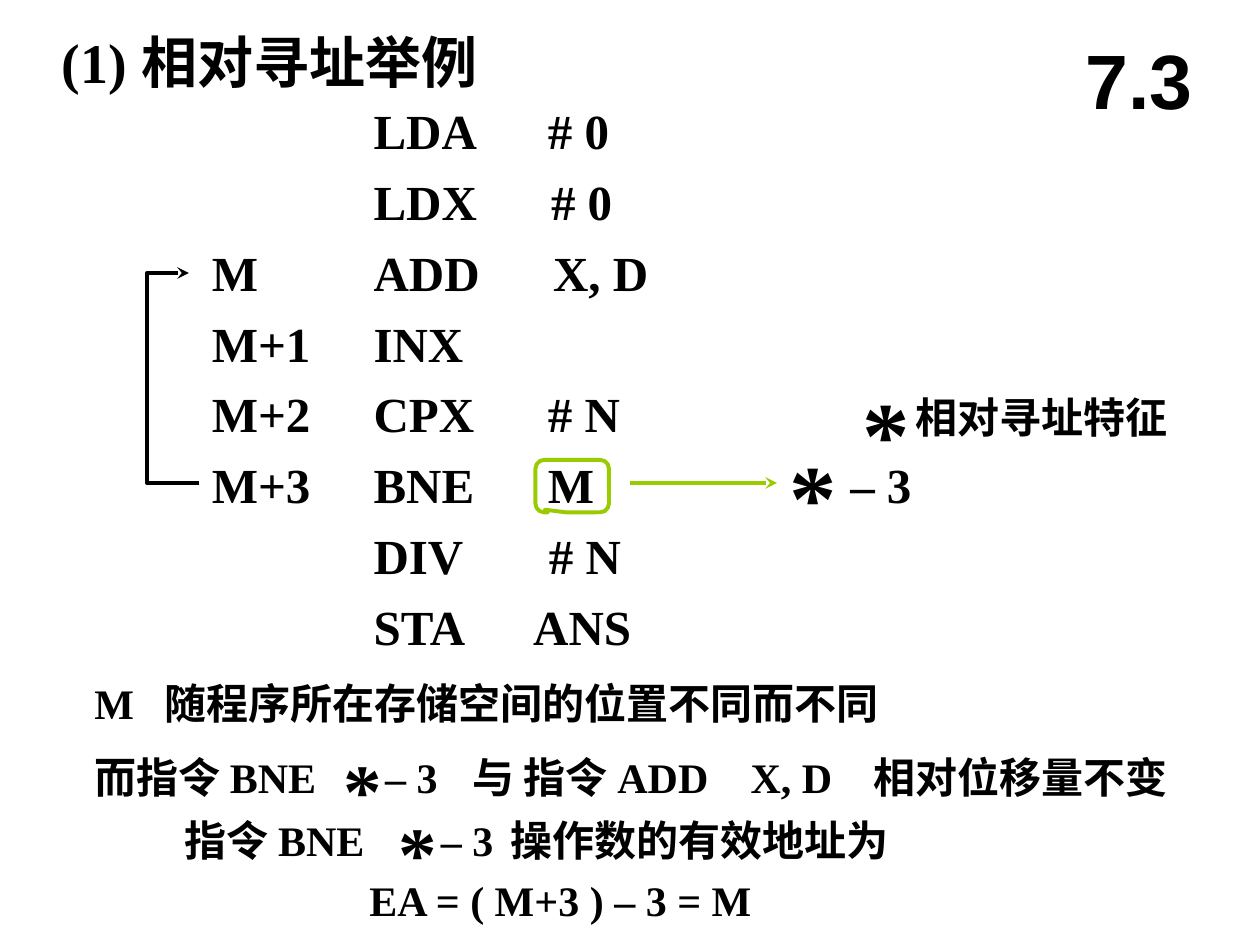
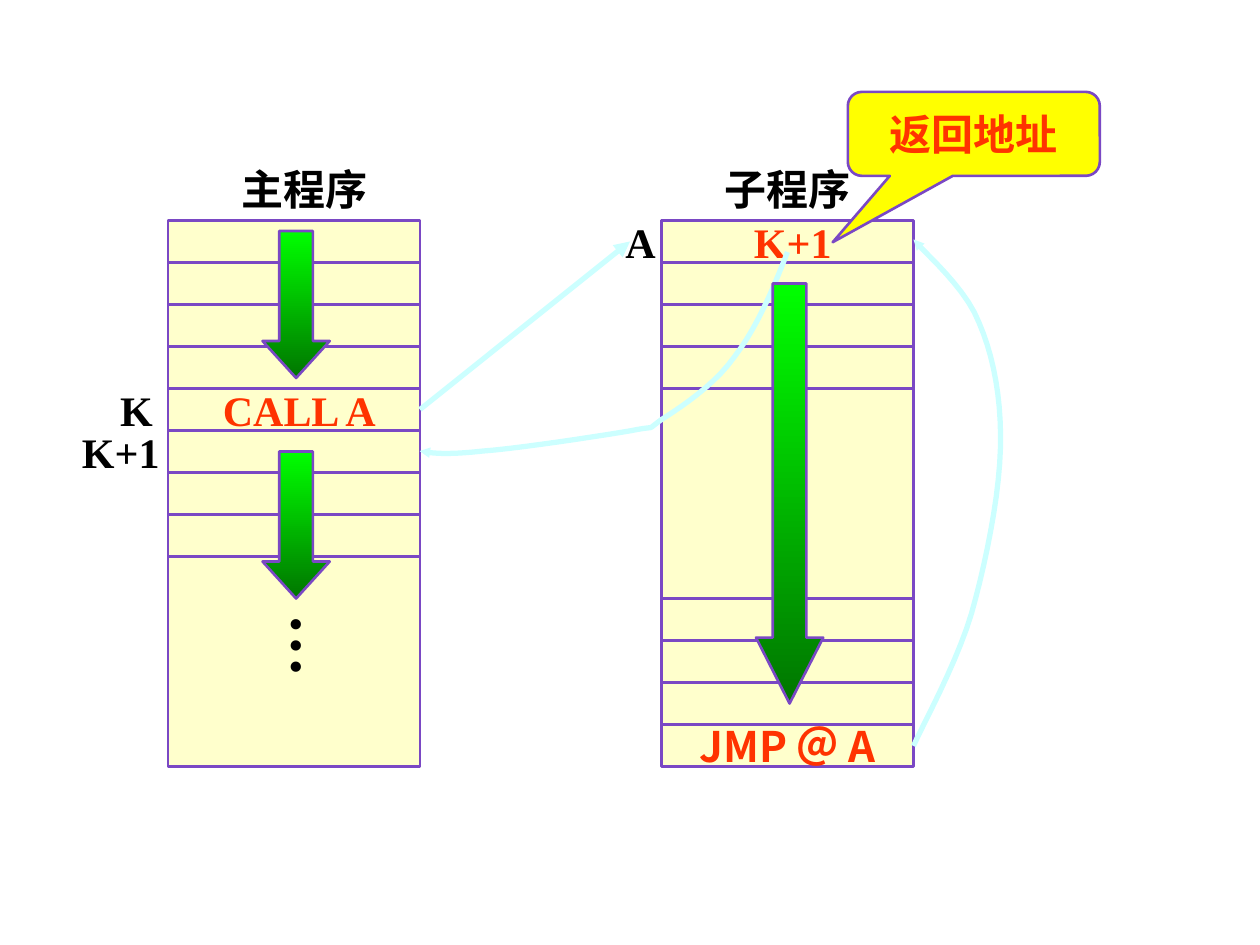
from lxml.etree import SubElement
from pptx import Presentation
from pptx.dml.color import RGBColor
from pptx.enum.shapes import MSO_CONNECTOR as Connector, MSO_SHAPE as Shape
from pptx.enum.text import MSO_ANCHOR as Anchor, PP_ALIGN as Align
from pptx.oxml.ns import qn
from pptx.util import Inches, Pt

# Shared grid: 120 columns by 90 rows of square cells
presentation = Presentation()
presentation.slide_width, presentation.slide_height = Inches(10), Inches(7.5)
CELL = presentation.slide_width / 120

# Shared colours and fonts
hex_color = RGBColor.from_string
BLACK, GREEN, PURPLE, RED = "000000", "99CC00", "7A48C4", "FF3300"
CREAM, YELLOW, PALE_BLUE = "FFFFCC", "FFFF00", "CCFFFF"
SERIF, SANS, CHINESE = "Times New Roman", "Arial", "Noto Sans CJK SC"


def write(shape, text, size=24, font=SERIF, color=BLACK, align=Align.LEFT,
          anchor=Anchor.TOP, tabs=()):
    """Put one bold line of text in a shape; tab stops are in cells."""
    frame = shape.text_frame
    frame.word_wrap = True
    frame.vertical_anchor = anchor
    frame.margin_left = frame.margin_right = Inches(0.1)
    frame.margin_top = frame.margin_bottom = Inches(0.05)
    paragraph = frame.paragraphs[0]
    paragraph.alignment = align
    if tabs:
        tab_list = SubElement(paragraph._p.get_or_add_pPr(), qn("a:tabLst"))
        for tab in tabs:
            SubElement(tab_list, qn("a:tab"), pos=str(int(tab * CELL)), algn="l")
    run = paragraph.add_run()
    run.text = text
    run.font.size, run.font.bold, run.font.name = Pt(size), True, font
    run.font.color.rgb = hex_color(color)
    SubElement(run._r.get_or_add_rPr(), qn("a:ea"), typeface=CHINESE)


def paint(shape, line, width=1.5, fill=None, arrow=None, arrow_size="med"):
    """Set the outline, fill and arrowhead, and remove the shadow."""
    shape.line.color.rgb = hex_color(line)
    shape.line.width = Pt(width)
    if fill:
        shape.fill.solid()
        shape.fill.fore_color.rgb = hex_color(fill)
    elif hasattr(shape, "fill"):
        shape.fill.background()
    properties = shape._element.spPr
    if arrow:
        SubElement(properties.find(qn("a:ln")), qn("a:tailEnd"),
                   type=arrow, w=arrow_size, len=arrow_size)
    if properties.find(qn("a:effectLst")) is None:
        SubElement(properties, qn("a:effectLst"))


# ---- Slide 1: relative addressing example ----
slide = presentation.slides.add_slide(presentation.slide_layouts[5])
shapes = slide.shapes
title = shapes.title
title.left, title.top, title.width, title.height = [
    int(n * CELL) for n in (4.7, 2, 50, 7.7)]
write(title, "(1) 相对寻址举例", size=32)

section = shapes.add_textbox(*[int(n * CELL) for n in (101, 2, 15, 11)])
write(section, "7.3", size=44, font=SANS, align=Align.CENTER, anchor=Anchor.MIDDLE)

# Program listing: label, instruction, tab stop of the operand
program = [
    ("", "LDA\t# 0", 16.6), ("", "LDX\t# 0", 16.9), ("M", "ADD\tX, D", 17.1),
    ("M+1", "INX", 16.6), ("M+2", "CPX\t# N", 16.6), ("M+3", "BNE\tM", 16.6),
    ("", "DIV\t# N", 16.7), ("", "STA\tANS", 15.2),
]
for row, (label, instruction, operand_tab) in enumerate(program):
    top = 9 + row * 6.74
    if label:
        box = shapes.add_textbox(*[int(n * CELL) for n in (19, top, 13, 6.8)])
        write(box, label, size=28)
    box = shapes.add_textbox(*[int(n * CELL) for n in (34.4, top, 32, 6.8)])
    write(box, instruction, size=28, tabs=[operand_tab])

# Explanations: text, left, top, width, size, tab stops
explanations = [
    ("*", 74, 41, 9, 54, ()),
    ("– 3", 79.8, 42.7, 9, 28, ()),
    ("*", 81, 35, 9, 54, ()),
    ("相对寻址特征", 86, 36.7, 29, 24, ()),
    ("M\t随程序所在存储空间的位置不同而不同", 7.8, 63.9, 110, 24, (6.7,)),
    ("而指令 BNE\t与 指令 ADD\tX, D\t相对位移量不变", 7.8, 71, 112, 24,
     (36, 62.5, 74.2)),
    ("*", 31.5, 70, 9, 44, ()),
    ("– 3", 35.5, 71, 9, 24, ()),
    ("指令 BNE", 16.4, 77, 22, 24, ()),
    ("*", 36.8, 76, 9, 44, ()),
    ("– 3", 40.8, 77, 9, 24, ()),
    ("操作数的有效地址为", 47.4, 77, 40, 24, ()),
    ("EA = ( M+3 ) – 3 = M", 34, 82.7, 42, 24, ()),
]
for text, left, top, width, size, tabs in explanations:
    box = shapes.add_textbox(*[int(n * CELL) for n in (left, top, width, size / 4)])
    write(box, text, size=size, tabs=tabs)

# Loop back from M+3 to M
builder = shapes.build_freeform(19, 46, scale=CELL)
builder.add_line_segments([(14, 46), (14, 26), (18, 26)], close=False)
paint(builder.convert_to_shape(), BLACK, 2.25, arrow="stealth")

# Marked operand and its arrow
marker = shapes.add_shape(Shape.ROUNDED_RECTANGULAR_CALLOUT,
                          *[int(n * CELL) for n in (51, 43.8, 7, 5)])
marker.adjustments[0], marker.adjustments[1] = -0.37, 0.45
paint(marker, GREEN, 2.25)
arrow = shapes.add_connector(Connector.STRAIGHT,
                             *[int(n * CELL) for n in (60, 46, 74, 46)])
paint(arrow, GREEN, 2.25, arrow="stealth")

# ---- Slide 2: subroutine call and return ----
slide = presentation.slides.add_slide(presentation.slide_layouts[6])
shapes = slide.shapes
MEMORY_TOP, ROW, MEMORY_WIDTH = 21, 4, 24
MAIN, SUBROUTINE = 16, 63

# Memory blocks with the rows that are ruled off
for left, ruled_rows in [(MAIN, range(1, 9)), (SUBROUTINE, [1, 2, 3, 4, 9, 10, 11, 12])]:
    memory = shapes.add_shape(Shape.RECTANGLE, *[
        int(n * CELL) for n in (left, MEMORY_TOP, MEMORY_WIDTH, 13 * ROW)])
    paint(memory, PURPLE, fill=CREAM)
    for row in ruled_rows:
        y = MEMORY_TOP + row * ROW
        rule = shapes.add_connector(Connector.STRAIGHT, *[
            int(n * CELL) for n in (left, y, left + MEMORY_WIDTH, y)])
        paint(rule, PURPLE)

# Labels: text, left, top, width, colour, font
labels = [
    ("主程序", 18, 15, 22, BLACK, SERIF),
    ("子程序", 64, 15, 22, BLACK, SERIF),
    ("K", 9, 36, 8, BLACK, SERIF),
    ("K+1", 4, 40, 15, BLACK, SERIF),
    ("A", 57, 20, 8, BLACK, SERIF),
    ("K+1", 68, 20, 15, RED, SERIF),
    ("CALL A", 18.5, 36, 20, RED, SERIF),
    ("JMP ＠ A", 62, 68, 26, RED, CHINESE),
]
for text, left, top, width, color, font in labels:
    box = shapes.add_textbox(*[int(n * CELL) for n in (left, top, width, 6)])
    write(box, text, color=color, font=font, align=Align.CENTER)

# Call arrow
call = shapes.add_connector(Connector.STRAIGHT,
                            *[int(n * CELL) for n in (40, 39, 60, 23)])
paint(call, PALE_BLUE, 3, arrow="triangle")

# Return and jump curves, in inches: a start, then two handles and an end per bend
return_curve = [
    (6.25, 2), (6.13, 2.31), (6, 2.61), (5.83, 2.83), (5.67, 3.06), (5.39, 3.24),
    (5.25, 3.33), (5.11, 3.43), (5.24, 3.37), (5, 3.42), (4.76, 3.46), (4.11, 3.56),
    (3.83, 3.58), (3.56, 3.61), (3.44, 3.6), (3.33, 3.58),
]
jump_curve = [
    (7.25, 5.92), (7.33, 5.74), (7.59, 5.27), (7.71, 4.87), (7.82, 4.48), (7.93, 3.95),
    (7.94, 3.56), (7.95, 3.18), (7.89, 2.84), (7.77, 2.56), (7.66, 2.28), (7.36, 2.03),
    (7.25, 1.9),
]
STEPS = 10
for curve in (return_curve, jump_curve):
    # The builder keeps whole numbers only, so the points are given in EMU
    handles = [(Inches(x), Inches(y)) for x, y in curve]
    points = []
    for first in range(0, len(handles) - 1, 3):
        bend = handles[first:first + 4]
        for step in range(1, STEPS + 1):
            t = step / STEPS
            weights = ((1 - t) ** 3, 3 * t * (1 - t) ** 2, 3 * t * t * (1 - t), t ** 3)
            points.append([sum(w * point[axis] for w, point in zip(weights, bend))
                           for axis in (0, 1)])
    builder = shapes.build_freeform(*handles[0])
    builder.add_line_segments(points, close=False)
    paint(builder.convert_to_shape(), PALE_BLUE, 3, arrow="triangle", arrow_size="sm")

# Execution arrows: left, top, height, head length
for left, top, height, head in [(25, 22, 14, 0.55), (25, 43, 14, 0.55), (72, 27, 40, 0.98)]:
    flow = shapes.add_shape(Shape.DOWN_ARROW,
                            *[int(n * CELL) for n in (left, top, 6.4, height)])
    flow.adjustments[0], flow.adjustments[1] = 0.5, head
    paint(flow, PURPLE)
    flow.fill.gradient()
    flow.fill.gradient_angle = 270
    for stop, position, color in zip(flow.fill.gradient_stops, (0, 1), ("00FF00", "007600")):
        stop.position, stop.color.rgb = position, hex_color(color)

# Continuation dots
dots = shapes.add_textbox(*[int(n * CELL) for n in (19.7, 57.3, 13, 8.4)])
dots.rotation = 270
write(dots, "…", size=36, align=Align.CENTER)

# Return address callout
callout = shapes.add_shape(Shape.ROUNDED_RECTANGULAR_CALLOUT,
                           *[int(n * CELL) for n in (80.75, 8.75, 24, 8)])
callout.adjustments[0], callout.adjustments[1] = -0.56, 1.29
paint(callout, PURPLE, fill=YELLOW)
write(callout, "返回地址", color=RED, align=Align.CENTER, anchor=Anchor.MIDDLE)

presentation.save("out.pptx")
